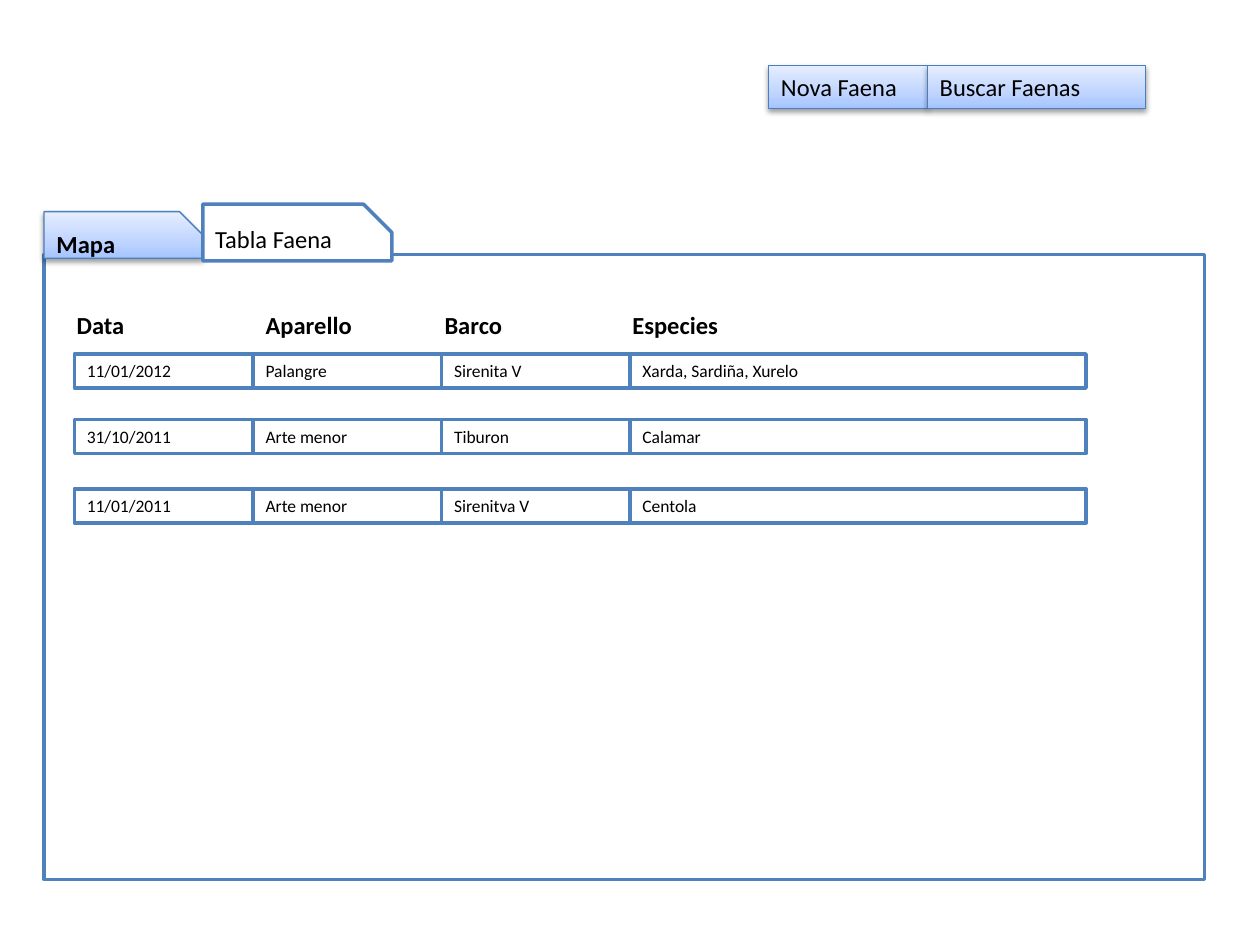
from itertools import accumulate

from pptx import Presentation
from pptx.dml.color import RGBColor
from pptx.enum.shapes import MSO_SHAPE
from pptx.enum.text import MSO_ANCHOR, PP_ALIGN
from pptx.oxml import parse_xml
from pptx.oxml.ns import nsdecls
from pptx.util import Inches, Pt

WHITE = RGBColor(0xFF, 0xFF, 0xFF)
BLACK = RGBColor(0x00, 0x00, 0x00)
BLUE = RGBColor(0x4F, 0x81, 0xBD)
BUTTON_EDGE = RGBColor(0x4B, 0x7E, 0xBC)
BUTTON_STOPS = (
    (0, RGBColor(0xA4, 0xC4, 0xFF)),
    (35, RGBColor(0xBF, 0xD4, 0xFF)),
    (100, RGBColor(0xE6, 0xEE, 0xFF)),
)

HEADERS = (
    ("Data", 5.1, 15),
    ("Aparello", 20.1, 11),
    ("Barco", 34.3, 13.4),
    ("Especies", 49.2, 10.2),
)
COLUMN_WIDTHS = (14.2, 14.95, 14.95, 36.2)
TABLE_LEFT = 5.9
ROWS = (
    (28.1, ("11/01/2012", "Palangre", "Sirenita V", "Xarda, Sardiña, Xurelo")),
    (33.3, ("31/10/2011", "Arte menor", "Tiburon", "Calamar")),
    (38.8, ("11/01/2011", "Arte menor", "Sirenitva V", "Centola")),
)


class Mockup:
    font = "Calibri"
    large, small = Pt(14), Pt(10)
    unit = Inches(0.1)

    def __init__(self, deck):
        self.slide = deck.slides.add_slide(deck.slide_layouts[6])

    def box(self, column, row, columns, rows, text="", size=large, bold=False,
            edge=BLUE, weight=2, kind=MSO_SHAPE.RECTANGLE):
        place = [round(value * self.unit) for value in (column, row, columns, rows)]
        shape = self.slide.shapes.add_shape(kind, *place)
        shape.shadow.inherit = False
        shape.fill.solid()
        shape.fill.fore_color.rgb = WHITE
        shape.line.color.rgb = edge
        shape.line.width = Pt(weight)
        if kind == MSO_SHAPE.SNIP_1_RECTANGLE:
            shape.adjustments[0] = 0.5
        if text:
            frame = shape.text_frame
            frame.text = text
            frame.word_wrap = True
            frame.vertical_anchor = MSO_ANCHOR.TOP
            para = frame.paragraphs[0]
            para.alignment = PP_ALIGN.LEFT
            for span in para.runs:
                span.font.name = self.font
                span.font.size = size
                span.font.bold = bold
                span.font.color.rgb = BLACK
        return shape

    def button(self, *place, **style):
        shape = self.box(*place, edge=BUTTON_EDGE, weight=0.75, **style)
        stops = "".join(
            f'<a:gs pos="{share * 1000}"><a:srgbClr val="{color}"/></a:gs>'
            for share, color in BUTTON_STOPS
        )
        properties = shape._element.spPr
        solid = properties.find("{*}solidFill")
        properties.replace(solid, parse_xml(
            f'<a:gradFill {nsdecls("a")} rotWithShape="1"><a:gsLst>{stops}</a:gsLst>'
            '<a:lin ang="16200000" scaled="0"/></a:gradFill>'
        ))
        properties.find("{*}effectLst").append(parse_xml(
            f'<a:outerShdw {nsdecls("a")} blurRad="40000" dist="20000" dir="5400000" '
            'rotWithShape="0"><a:srgbClr val="000000"><a:alpha val="38000"/>'
            '</a:srgbClr></a:outerShdw>'
        ))

    def header(self, text, column, columns):
        self.box(column, 24.1, columns, 3.4, text, bold=True, edge=WHITE)

    def record(self, row, values):
        lefts = accumulate(COLUMN_WIDTHS, initial=TABLE_LEFT)
        for left, width, value in zip(lefts, COLUMN_WIDTHS, values):
            self.box(left, row, width, 2.7, value, size=self.small)


def main():
    deck = Presentation()
    deck.slide_width, deck.slide_height = Inches(10), Inches(7.5)
    page = Mockup(deck)
    tab = MSO_SHAPE.SNIP_1_RECTANGLE
    page.box(3.5, 20.2, 92.1, 49.6)
    page.button(3.5, 16.8, 12.6, 3.7, "Mapa", bold=True, kind=tab)
    page.box(16.1, 16.2, 15, 4.5, "Tabla Faena", kind=tab)
    for header in HEADERS:
        page.header(*header)
    for row, values in ROWS:
        page.record(row, values)
    page.button(61, 5.2, 12.6, 3.4, "Nova Faena")
    page.button(73.6, 5.2, 17.3, 3.4, "Buscar Faenas")
    deck.save("out.pptx")


if __name__ == "__main__":
    main()
